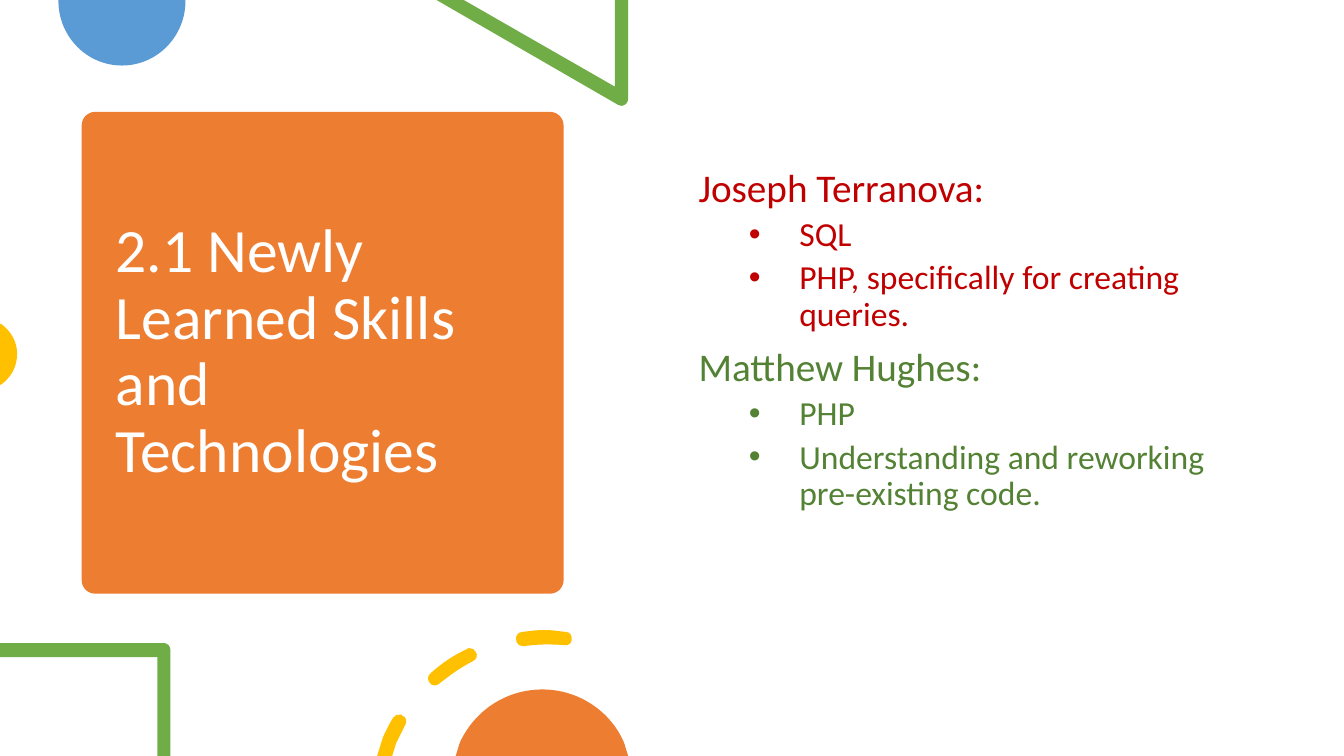
from pptx import Presentation
from pptx.dml.color import RGBColor
from pptx.enum.shapes import MSO_SHAPE
from pptx.enum.text import MSO_ANCHOR, PP_ALIGN
from pptx.oxml import parse_xml
from pptx.oxml.ns import nsdecls, qn
from pptx.util import Inches, Pt

ROUNDED = MSO_SHAPE.ROUNDED_RECTANGLE
MIDDLE, TOP = MSO_ANCHOR.MIDDLE, MSO_ANCHOR.TOP
LEFT = PP_ALIGN.LEFT

FONT = "Calibri"
COLORS = {
    "white": "FFFFFF", "orange": "ED7D31", "blue": "5B9BD5",
    "green": "70AD47", "yellow": "FFC000", "red": "C00000",
    "dark_green": "548235",
}

# Outlines in inches from the box corner: a pair is a corner, six numbers a curve
BLUE_HALF_CIRCLE = [[
    (1.26, 0), (0, 0), (0, 0.01), (0, 0.36, 0.28, 0.65, 0.63, 0.65),
    (0.98, 0.65, 1.26, 0.36, 1.26, 0.01)]]
GREEN_TRIANGLE = [[
    (1.9, 0), (1.77, 0), (1.77, 0.86), (0.27, 0), (0, 0), (1.8, 1.04),
    (1.81, 1.05, 1.82, 1.05, 1.83, 1.05),
    (1.87, 1.05, 1.9, 1.02, 1.9, 0.98)]]
YELLOW_DOT = [[
    (0, 0), (0, 0.61), (0.02, 0.6), (0.11, 0.53, 0.17, 0.43, 0.17, 0.3),
    (0.17, 0.18, 0.11, 0.08, 0.02, 0.01)]]
GREEN_CORNER = [[
    (1.63, 0), (0, 0), (0, 0.14), (1.56, 0.14), (1.56, 1.12), (1.69, 1.12),
    (1.69, 0.07), (1.69, 0.03, 1.66, 0, 1.63, 0)]]
YELLOW_DASHES = [
    [(0.23, 0.84), (0.2, 0.83, 0.18, 0.85, 0.16, 0.87),
     (0.12, 0.93, 0.09, 1, 0.06, 1.06), (0, 1.25), (0.15, 1.25),
     (0.19, 1.12), (0.22, 1.06, 0.25, 1, 0.28, 0.94),
     (0.3, 0.91, 0.29, 0.86, 0.25, 0.85),
     (0.25, 0.84, 0.24, 0.84, 0.23, 0.84)],
    [(0.91, 0.18), (0.91, 0.18, 0.9, 0.18, 0.89, 0.19),
     (0.76, 0.25, 0.64, 0.33, 0.53, 0.43),
     (0.5, 0.45, 0.5, 0.5, 0.52, 0.52),
     (0.53, 0.54, 0.55, 0.55, 0.57, 0.55),
     (0.59, 0.55, 0.61, 0.54, 0.62, 0.53),
     (0.72, 0.45, 0.83, 0.37, 0.95, 0.31),
     (0.99, 0.29, 1, 0.25, 0.98, 0.22),
     (0.97, 0.19, 0.94, 0.18, 0.91, 0.18)],
    [(1.66, 0), (1.58, 0, 1.51, 0.01, 1.44, 0.02),
     (1.4, 0.02, 1.37, 0.06, 1.38, 0.1),
     (1.38, 0.13, 1.41, 0.16, 1.45, 0.16),
     (1.45, 0.16, 1.45, 0.16, 1.46, 0.16),
     (1.59, 0.14, 1.72, 0.14, 1.86, 0.15),
     (1.89, 0.16, 1.93, 0.13, 1.93, 0.1),
     (1.94, 0.06, 1.91, 0.02, 1.88, 0.02),
     (1.88, 0.02, 1.87, 0.02, 1.87, 0.02),
     (1.8, 0.01, 1.73, 0, 1.66, 0)],
]
ORANGE_DOME = [[
    (0.86, 0), (0.49, 0, 0.18, 0.22, 0.04, 0.53), (0, 0.66), (1.71, 0.66),
    (1.67, 0.53), (1.54, 0.22, 1.22, 0, 0.86, 0)]]

UPPER_DECOR = [
    (0.58, 0, BLUE_HALF_CIRCLE, "blue"),
    (4.33, 0, GREEN_TRIANGLE, "green"),
    (0, 3.21, YELLOW_DOT, "yellow"),
]
LOWER_DECOR = [
    (0, 6.38, GREEN_CORNER, "green"),
    (3.74, 6.25, YELLOW_DASHES, "yellow"),
    (4.52, 6.84, ORANGE_DOME, "orange"),
]
SKILLS = [
    ("Joseph Terranova:", "red",
     ["SQL", "PHP, specifically for creating queries."]),
    ("Matthew Hughes:", "dark_green",
     ["PHP", "Understanding and reworking pre-existing code."]),
]


def rgb(color):
    return RGBColor.from_string(COLORS[color])


def paint(sp, color):
    sp.shadow.inherit = False
    sp.fill.solid()
    sp.fill.fore_color.rgb = rgb(color)
    sp.line.fill.background()


def bend_sides(sp, outlines):
    """Give the straight sides that stand for curves their control points."""
    sides = list(sp._element.iter(qn("a:lnTo")))
    parts = [part for outline in outlines for part in outline[1:]]
    for side, part in zip(sides, parts):
        if len(part) == 6:
            side.tag = qn("a:cubicBezTo")
            for i in (0, 1):
                x, y = Inches(part[2 * i]), Inches(part[2 * i + 1])
                side.insert(i, parse_xml(
                    f'<a:pt {nsdecls("a")} x="{x}" y="{y}"/>'))


def add_decor(slide, left, top, outlines, color):
    builder = None
    for outline in outlines:
        points = [(Inches(left + part[-2]), Inches(top + part[-1]))
                  for part in outline]
        if builder is None:
            builder = slide.shapes.build_freeform(*points[0])
        else:
            builder.move_to(*points[0])
        builder.add_line_segments(points[1:], close=True)
    sp = builder.convert_to_shape()
    bend_sides(sp, outlines)
    paint(sp, color)


def add_text_frame(slide, left, top, width, height, anchor):
    box = slide.shapes.add_textbox(Inches(left), Inches(top),
                                   Inches(width), Inches(height))
    tf = box.text_frame
    tf.word_wrap = True
    tf.vertical_anchor = anchor
    return tf


def write(p, text, size, color, before=0):
    p.text = text
    p.alignment = LEFT
    p.line_spacing = 0.9
    p.space_before = Pt(before)
    font = p.runs[0].font
    font.name, font.size, font.color.rgb = FONT, Pt(size), rgb(color)


def add_bullet(p):
    p.level = 1
    pPr = p._p.get_or_add_pPr()
    pPr.set("marL", str(Inches(1)))
    pPr.set("indent", str(Inches(-0.5)))
    pPr.append(parse_xml(f'<a:buFont {nsdecls("a")} typeface="Arial"/>'))
    pPr.append(parse_xml(f'<a:buChar {nsdecls("a")} char="•"/>'))


def add_title_card(slide, left, top, side):
    sp = slide.shapes.add_shape(ROUNDED, Inches(left), Inches(top),
                                Inches(side), Inches(side))
    sp.adjustments[0] = 0.028
    paint(sp, "orange")
    tf = add_text_frame(slide, left + 0.24, top + 0.11,
                        side - 0.47, side - 0.22, MIDDLE)
    write(tf.paragraphs[0], "2.1 Newly Learned Skills and Technologies",
          44, "white")


def add_skills(slide, left, top, width, height):
    tf = add_text_frame(slide, left, top, width, height, TOP)
    for i, (person, color, skills) in enumerate(SKILLS):
        p = tf.add_paragraph() if i else tf.paragraphs[0]
        write(p, person, 28, color, before=10)
        for skill in skills:
            p = tf.add_paragraph()
            write(p, skill, 24, color, before=5)
            add_bullet(p)


def main():
    prs = Presentation()
    prs.slide_width, prs.slide_height = Inches(13.33), Inches(7.5)
    slide = prs.slides.add_slide(prs.slide_layouts[6])

    # Title card on the left
    add_title_card(slide, 0.81, 1.11, 4.78)
    for decor in UPPER_DECOR:
        add_decor(slide, *decor)

    # Skills on the right
    add_skills(slide, 6.83, 1.62, 5.69, 3.79)

    # Shapes along the lower edge
    for decor in LOWER_DECOR:
        add_decor(slide, *decor)
    prs.save("out.pptx")


if __name__ == "__main__":
    main()
